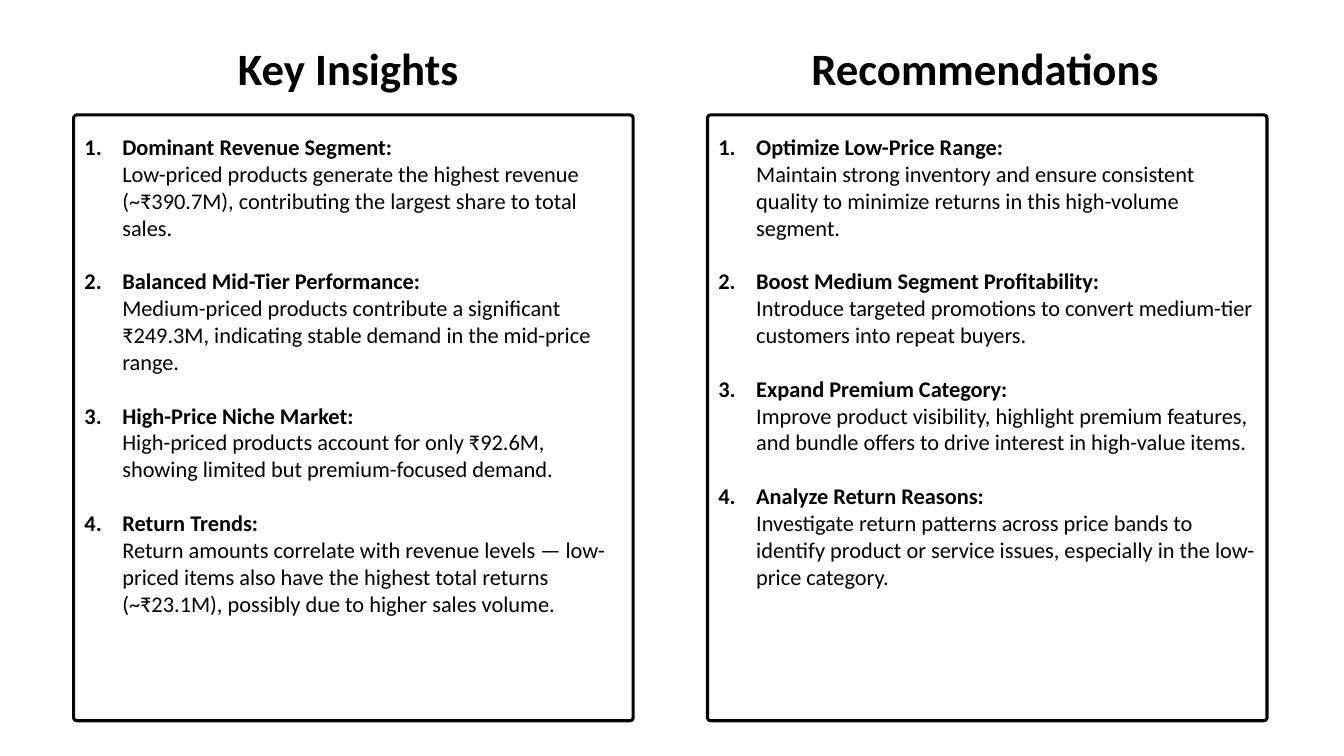
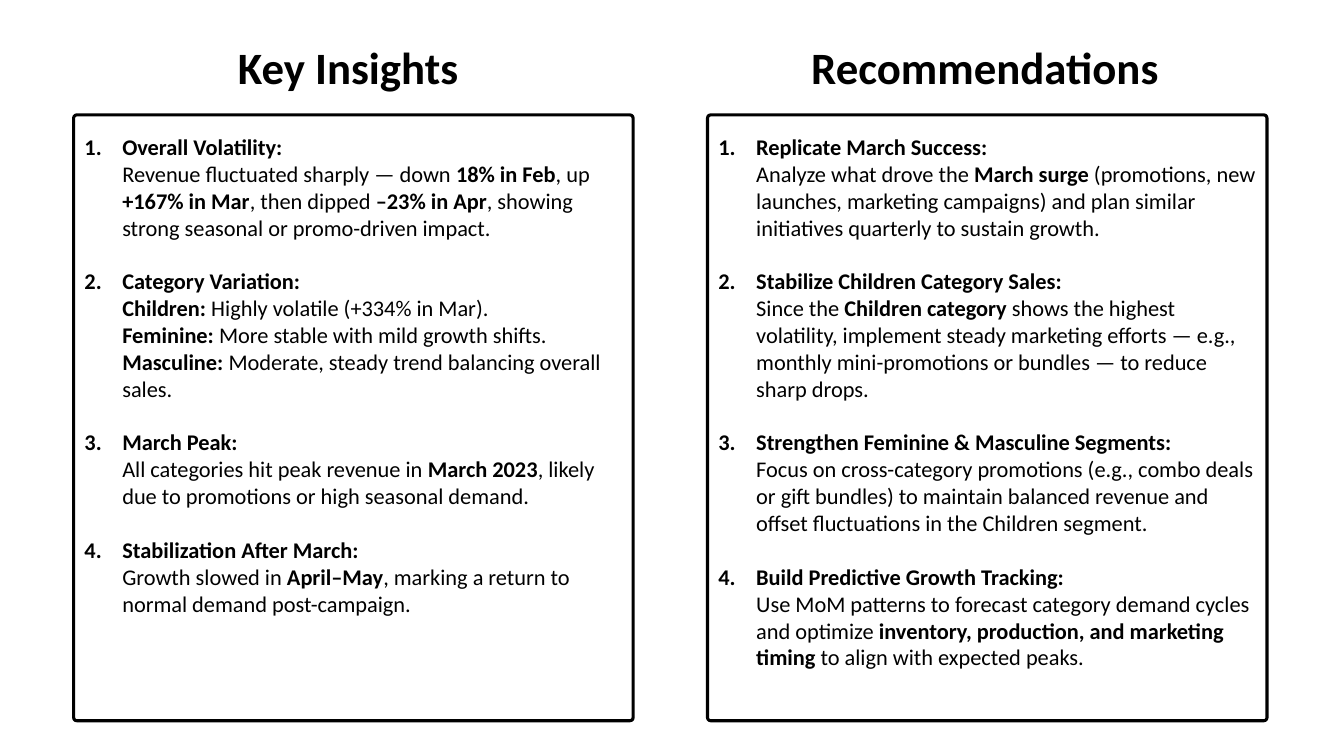
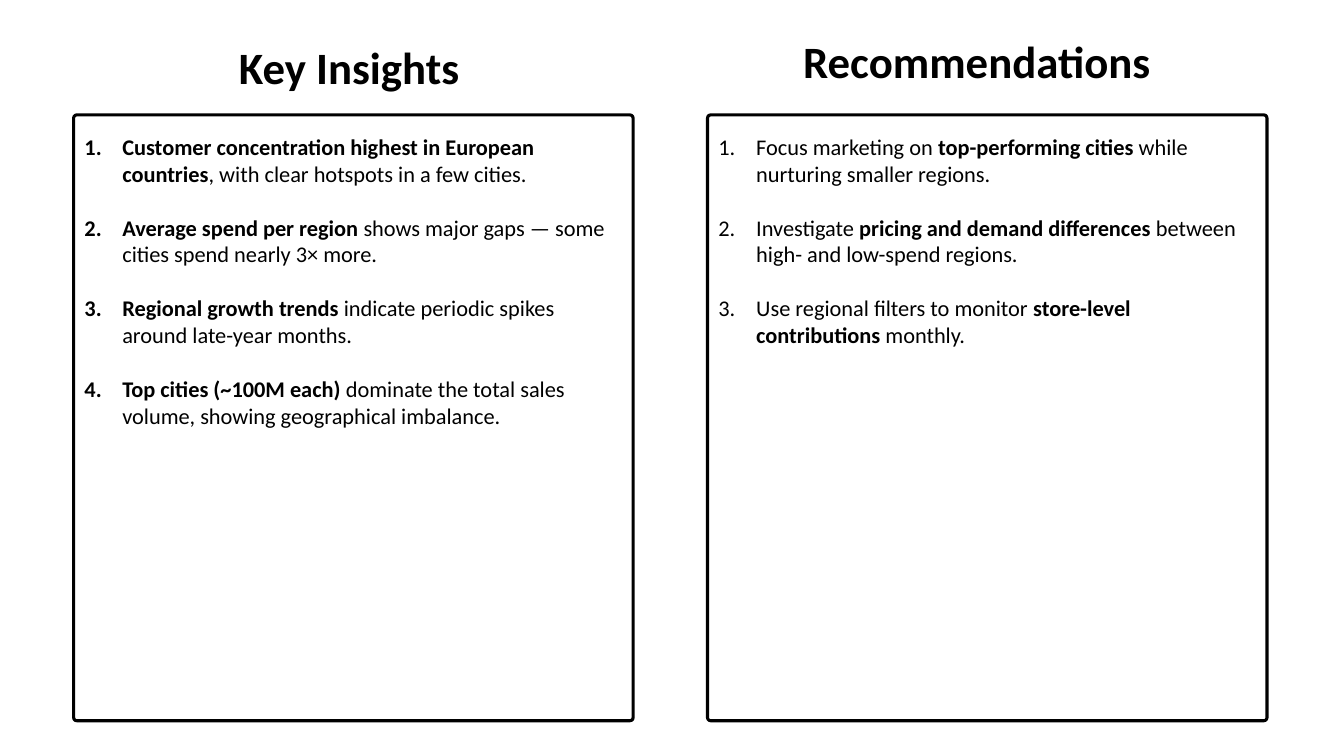
from dataclasses import dataclass

from lxml import etree
from pptx import Presentation
from pptx.dml.color import RGBColor
from pptx.enum import shapes, text
from pptx.oxml.ns import qn
from pptx.util import Pt


@dataclass(frozen=True)
class Theme:
    ink: RGBColor = RGBColor(0x00, 0x00, 0x00)
    paper: RGBColor = RGBColor(0xFF, 0xFF, 0xFF)
    font: str = "Calibri"
    heading_size: float = 32
    body_size: float = 16
    line_pitch: float = 19.4
    item_gap: float = 19.2
    number_indent: float = 27
    frame_line: float = 2.2
    frame_radius: float = 2.2


@dataclass(frozen=True)
class Box:
    left: float
    top: float
    width: float
    height: float

    def lengths(self):
        return Pt(self.left), Pt(self.top), Pt(self.width), Pt(self.height)


@dataclass(frozen=True)
class Panel:
    """A heading set in from, and raised above, a framed list of items.

    Item text marks bold stretches with ** and line breaks with a newline.
    """
    heading: str
    inset: float
    rise: float
    heading_width: float
    lines: int
    items: tuple


THEME = Theme()
SLIDE_WIDTH, SLIDE_HEIGHT = 960, 540
LEFT_BOX = Box(52.6, 82.1, 399.6, 432.7)
RIGHT_BOX = Box(505.4, 82.1, 399.6, 432.7)
HEADING_HEIGHT = 46.1

PRICE_SLIDE = (
    Panel("Key Insights", 110.2, 56.9, 178.6, 18, (
        "**Dominant Revenue Segment:\n**Low-priced products generate the highest revenue "
        "(~₹390.7M), contributing the largest share to total sales.",
        "**Balanced Mid-Tier Performance:\n**Medium-priced products contribute a significant "
        "₹249.3M, indicating stable demand in the mid-price range.",
        "**High-Price Niche Market:\n**High-priced products account for only ₹92.6M, "
        "showing limited but premium-focused demand.",
        "**Return Trends:\n**Return amounts correlate with revenue levels — low-priced items "
        "also have the highest total returns (~₹23.1M), possibly due to higher sales volume.",
    )),
    Panel("Recommendations", 67, 56.9, 265, 17, (
        "**Optimize Low-Price Range:\n**Maintain strong inventory and ensure consistent "
        "quality to minimize returns in this high-volume segment.",
        "**Boost Medium Segment Profitability:\n**Introduce targeted promotions to convert "
        "medium-tier customers into repeat buyers.",
        "**Expand Premium Category:\n**Improve product visibility, highlight premium features, "
        "and bundle offers to drive interest in high-value items.",
        "**Analyze Return Reasons:\n**Investigate return patterns across price bands to "
        "identify product or service issues, especially in the low-price category.",
    )),
)

GROWTH_SLIDE = (
    Panel("Key Insights", 110.2, 57.6, 180, 18, (
        "**Overall Volatility:\n**Revenue fluctuated sharply — down **18% in Feb**, up "
        "**+167% in Mar**, then dipped **–23% in Apr**, showing strong seasonal or "
        "promo-driven impact.",
        "**Category Variation:\nChildren:** Highly volatile (+334% in Mar).\n"
        "**Feminine:** More stable with mild growth shifts.\n"
        "**Masculine:** Moderate, steady trend balancing overall sales.",
        "**March Peak:\n**All categories hit peak revenue in **March 2023**, likely due to "
        "promotions or high seasonal demand.",
        "**Stabilization After March:\n**Growth slowed in **April–May**, marking a return to "
        "normal demand post-campaign.",
    )),
    Panel("Recommendations", 67, 57.6, 266.4, 20, (
        "**Replicate March Success:\n**Analyze what drove the **March surge** (promotions, "
        "new launches, marketing campaigns) and plan similar initiatives quarterly to "
        "sustain growth.",
        "**Stabilize Children Category Sales:\n**Since the **Children category** shows the "
        "highest volatility, implement steady marketing efforts — e.g., monthly "
        "mini-promotions or bundles — to reduce sharp drops.",
        "**Strengthen Feminine & Masculine Segments:\n**Focus on cross-category promotions "
        "(e.g., combo deals or gift bundles) to maintain balanced revenue and offset "
        "fluctuations in the Children segment.",
        "**Build Predictive Growth Tracking:\n**Use MoM patterns to forecast category demand "
        "cycles and optimize **inventory, production, and marketing timing** to align with "
        "expected peaks.",
    )),
)

REGION_SLIDE = (
    Panel("Key Insights", 110.9, 57.6, 177.1, 11, (
        "**Customer concentration highest in European countries**, with clear hotspots in "
        "a few cities.",
        "**Average spend per region** shows major gaps — some cities spend nearly 3× more.",
        "**Regional growth trends** indicate periodic spikes around late-year months.",
        "**Top cities (~100M each)** dominate the total sales volume, showing geographical "
        "imbalance.",
    )),
    Panel("Recommendations", 61.2, 61.2, 269.3, 8, (
        "Focus marketing on **top-performing cities** while nurturing smaller regions.",
        "Investigate **pricing and demand differences** between high- and low-spend regions.",
        "Use regional filters to monitor **store-level contributions** monthly.",
    )),
)


def add_run(paragraph, words, size, bold):
    run = paragraph.add_run()
    run.text = words
    run.font.name = THEME.font
    run.font.size = Pt(size)
    run.font.bold = bold
    run.font.color.rgb = THEME.ink


def add_break(paragraph, size):
    # The break carries the text size, so that it does not stretch its line
    paragraph.add_line_break()
    line_break = paragraph._p.findall(qn("a:br"))[-1]
    etree.SubElement(line_break, qn("a:rPr"), sz=str(size * 100))


def add_marked_text(paragraph, marked):
    for index, stretch in enumerate(marked.split("**")):
        for row, words in enumerate(stretch.split("\n")):
            if row:
                add_break(paragraph, THEME.body_size)
            if words:
                add_run(paragraph, words, THEME.body_size, index % 2 == 1)


def number_paragraph(paragraph):
    properties = paragraph._p.get_or_add_pPr()
    indent = Pt(THEME.number_indent)
    properties.set("marL", str(indent))
    properties.set("indent", str(-indent))
    etree.SubElement(properties, qn("a:buFont"), typeface=THEME.font)
    etree.SubElement(properties, qn("a:buAutoNum"), type="arabicPeriod")


def add_frame(slide, box):
    frame = slide.shapes.add_shape(shapes.MSO_SHAPE.ROUNDED_RECTANGLE, *box.lengths())
    frame.adjustments[0] = THEME.frame_radius / min(box.width, box.height)
    frame.shadow.inherit = False
    frame.fill.background()
    frame.line.color.rgb = THEME.ink
    frame.line.width = Pt(THEME.frame_line)


def add_items(slide, box, panel):
    area = Box(box.left + 0.7, box.top + 9.4, box.width - 0.7,
               panel.lines * THEME.line_pitch + 7.2)
    frame = slide.shapes.add_textbox(*area.lengths()).text_frame
    frame.word_wrap = True
    for index, item in enumerate(panel.items):
        paragraph = frame.add_paragraph() if index else frame.paragraphs[0]
        if index:
            paragraph.space_before = Pt(THEME.item_gap)
        number_paragraph(paragraph)
        add_marked_text(paragraph, item)


def format_heading(shape, box, panel):
    area = Box(box.left + panel.inset, box.top - panel.rise,
               panel.heading_width, HEADING_HEIGHT)
    shape.left, shape.top, shape.width, shape.height = area.lengths()
    frame = shape.text_frame
    frame.word_wrap = True
    frame.auto_size = text.MSO_AUTO_SIZE.NONE
    frame.vertical_anchor = text.MSO_ANCHOR.TOP
    paragraph = frame.paragraphs[0]
    paragraph.alignment = text.PP_ALIGN.LEFT
    add_run(paragraph, panel.heading, THEME.heading_size, True)


def add_panel(slide, box, panel, heading):
    add_frame(slide, box)
    add_items(slide, box, panel)
    format_heading(heading, box, panel)


def add_two_panel_slide(presentation, panels):
    slide = presentation.slides.add_slide(presentation.slide_layouts.get_by_name("Title Only"))
    insights, recommendations = panels
    # Left panel holds the slide title
    add_panel(slide, LEFT_BOX, insights, slide.shapes.title)
    # Right panel has a plain heading
    heading = slide.shapes.add_textbox(*RIGHT_BOX.lengths())
    add_panel(slide, RIGHT_BOX, recommendations, heading)


def main():
    presentation = Presentation()
    presentation.slide_width = Pt(SLIDE_WIDTH)
    presentation.slide_height = Pt(SLIDE_HEIGHT)
    background = presentation.slide_master.background.fill
    background.solid()
    background.fore_color.rgb = THEME.paper
    for panels in (PRICE_SLIDE, GROWTH_SLIDE, REGION_SLIDE):
        add_two_panel_slide(presentation, panels)
    presentation.save("out.pptx")


if __name__ == "__main__":
    main()
